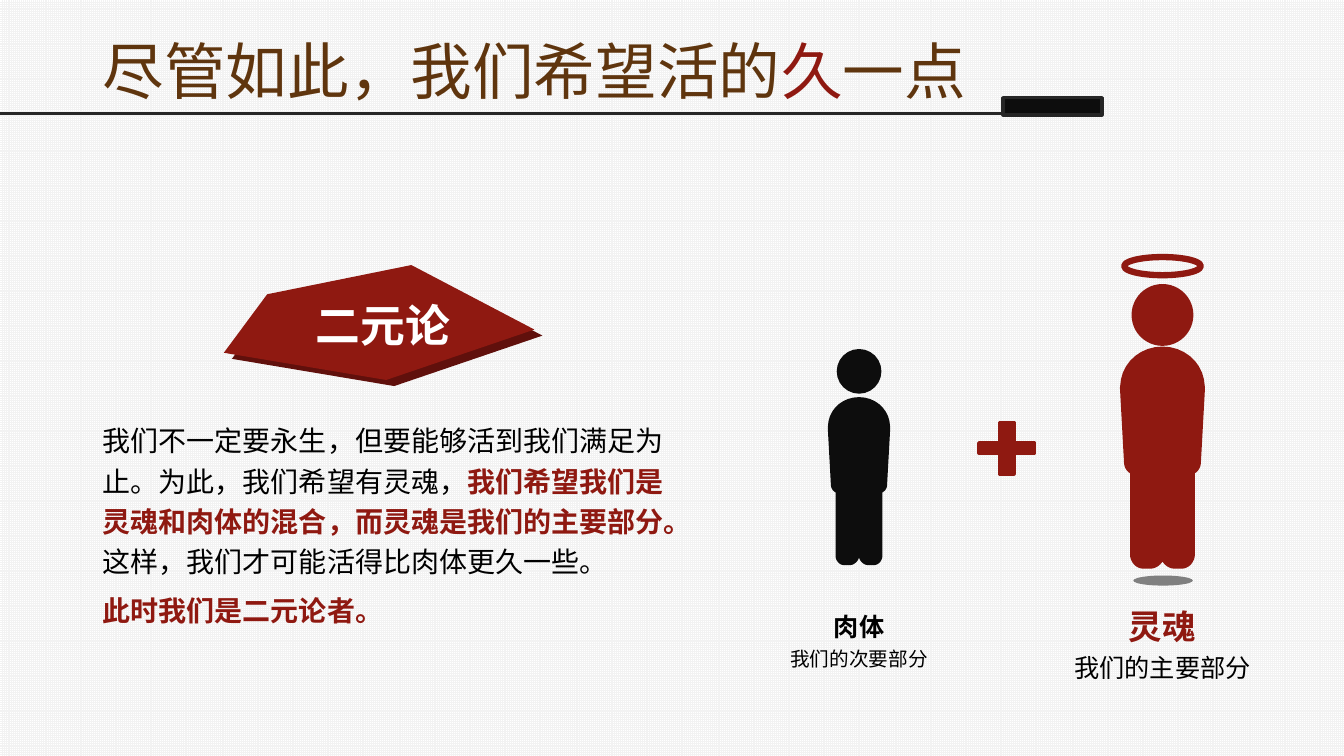
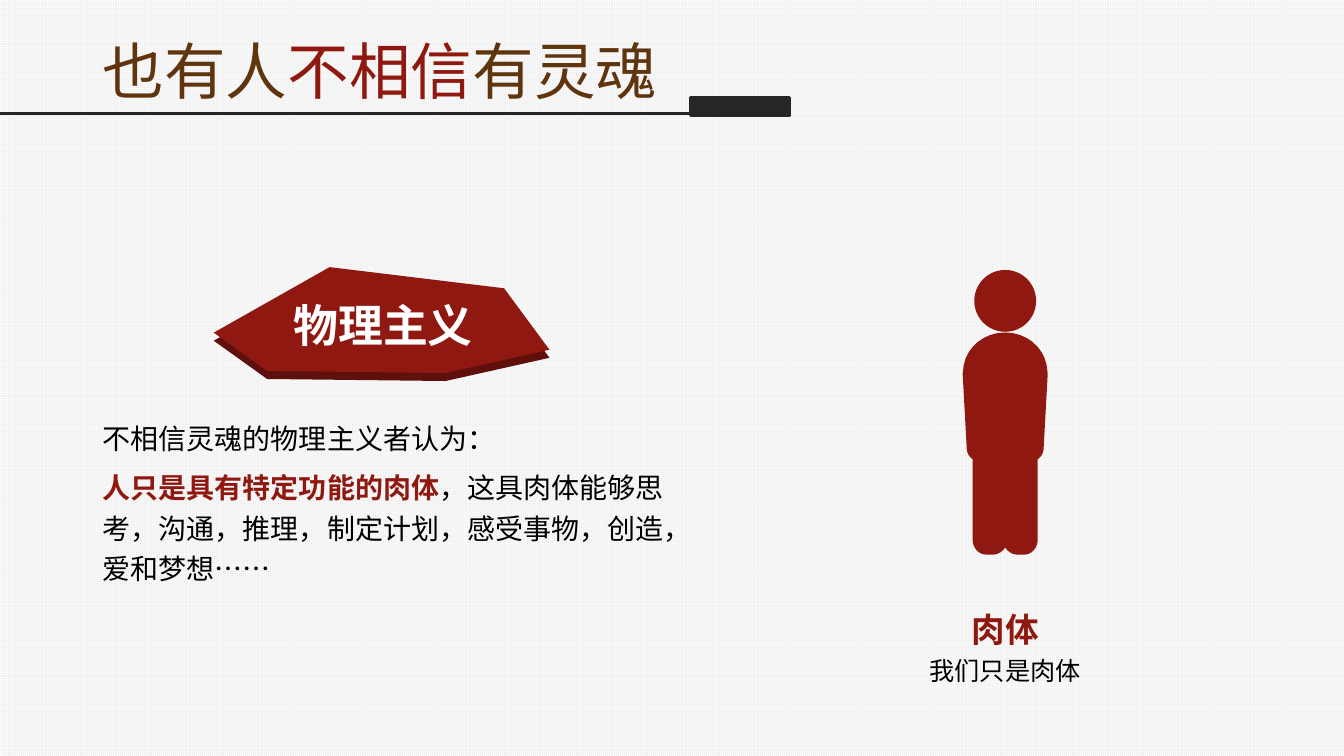
"""Build two slides on dualism and physicalism."""
from dataclasses import dataclass

from lxml import etree
from pptx import Presentation
from pptx import util as u
from pptx.dml.color import RGBColor
from pptx.enum import dml, lang, shapes, text
from pptx.oxml import ns


@dataclass(frozen=True)
class Theme:
    """Hold the colours, font and type sizes."""
    font: str = "Noto Sans CJK SC"
    red: str = "8F1911"
    dark: str = "60100C"
    brown: str = "5F350E"
    black: str = "000000"
    ink: str = "0D0D0D"
    rule: str = "262626"
    gray: str = "808080"
    white: str = "FFFFFF"
    grid: str = "F2F2F2"
    title: int = 44
    badge: int = 32
    body: int = 20
    large: int = 24
    mid: int = 18
    small: int = 14


T = Theme()
KIND = shapes.MSO_SHAPE
MID = 0.38
HEAD = 0.53
NECK = 0.62
HALF = [
    [(0, 0)],
    [(0.19, 0), (0.34, 0.13), (0.37, 0.29)],
    [(0.38, 0.37)],
    [(0.34, 1.1)],
    [(0.34, 1.13), (0.33, 1.16), (0.3, 1.18)],
    [(0.28, 1.19)],
    [(0.28, 2.02)],
    [(0.28, 2.07), (0.24, 2.12), (0.19, 2.12)],
    [(0.12, 2.12)],
    [(0.07, 2.12), (0.02, 2.07), (0.02, 2.02)],
    [(0.02, 1.2)],
]


def rgb(hue):
    """Turn a hex string into a colour."""
    return RGBColor.from_string(hue)


def paint(shape, fill=None, line=None, width=0):
    """Set fill and outline and drop the shadow."""
    shape.shadow.inherit = False
    if fill:
        shape.fill.solid()
        shape.fill.fore_color.rgb = rgb(fill)
    else:
        shape.fill.background()
    if line:
        shape.line.color.rgb = rgb(line)
        shape.line.width = u.Pt(width)
    else:
        shape.line.fill.background()
    return shape


def draw(slide, kind, box, *look):
    """Add a painted preset shape in a box given in inches."""
    shape = slide.shapes.add_shape(kind, *map(u.Inches, box))
    return paint(shape, *look)


def trace(slide, pts, *look):
    """Add a closed outline through points given in inches."""
    ends = [(u.Inches(x), u.Inches(y)) for x, y in pts]
    pen = slide.shapes.build_freeform(*ends[0])
    pen.add_line_segments(ends[1:], close=True)
    return paint(pen.convert_to_shape(), *look)


def write(para, parts, size):
    """Add runs of (text, colour, bold) to a paragraph."""
    for words, hue, bold in parts:
        run = para.add_run()
        run.text = words
        font = run.font
        font.size, font.bold, font.name = u.Pt(size), bold, T.font
        font.color.rgb = rgb(hue)
        font.language_id = lang.MSO_LANGUAGE_ID.SIMPLIFIED_CHINESE
        props = run._r.get_or_add_rPr()
        etree.SubElement(props, ns.qn("a:ea"), typeface=T.font)


def note(slide, box, rows, wrap=True, align=text.PP_ALIGN.LEFT,
         lead=None, gap=0, anchor=text.MSO_ANCHOR.TOP):
    """Add a text box whose rows are (parts, size)."""
    frame = slide.shapes.add_textbox(*map(u.Inches, box)).text_frame
    frame.word_wrap = wrap
    frame.vertical_anchor = anchor
    for k, (parts, size) in enumerate(rows):
        para = frame.add_paragraph() if k else frame.paragraphs[0]
        para.alignment = align
        if lead:
            para.line_spacing = lead
        if k and gap:
            para.space_before = u.Pt(gap)
        write(para, parts, size)


def header(slide, parts, end, fill):
    """Add the title and the rule that ends in a tab."""
    note(slide, (0.92, 0.27, 11.5, 0.84), [(parts, T.title)],
         anchor=text.MSO_ANCHOR.MIDDLE)
    line = slide.shapes.add_connector(
        shapes.MSO_CONNECTOR.STRAIGHT, 0, u.Inches(1.13),
        u.Inches(end), u.Inches(1.13))
    line.line.color.rgb = rgb(T.rule)
    line.line.width = u.Pt(2.25)
    etree.SubElement(line._element.spPr, ns.qn("a:effectLst"))
    draw(slide, KIND.RECTANGLE, (end, 0.97, 0.98, 0.17), fill, T.rule, 2.5)


def badge(slide, x, y, pts, drop, words):
    """Add a jagged badge with its under layer and label."""
    for (dx, dy), hue in ((drop, T.dark), ((0, 0), T.red)):
        trace(slide, [(x + dx + px, y + dy + py) for px, py in pts], hue)
    note(slide, (2.8, 2.9, 2, 0.64), [([(words, T.white, True)], T.badge)],
         wrap=False, align=text.PP_ALIGN.CENTER)


def bend(a, b, c, d, n=8):
    """Sample a cubic curve after its first point."""
    for k in range(1, n + 1):
        t = k / n
        s = 1 - t
        yield tuple(s**3 * p + 3 * s * s * t * q + 3 * s * t * t * r + t**3 * v
                    for p, q, r, v in zip(a, b, c, d))


def torso():
    """Give the body outline around its middle line."""
    side = []
    for step in HALF:
        side.extend(bend(side[-1], *step) if len(step) == 3 else step)
    return side + [(-x, y) for x, y in reversed(side[1:])]


def person(slide, mid, top, hue, width, scale=1):
    """Add a figure centred on mid with its head at top."""
    size = HEAD * scale
    draw(slide, KIND.OVAL, (mid - size / 2, top, size, size), hue, hue, width)
    pts = [(mid + x * scale, top + (NECK + y) * scale) for x, y in torso()]
    trace(slide, pts, hue, hue, width)


def label(slide, mid, top, name, hue, size, words, sub):
    """Add a two-line caption centred on mid."""
    rows = [([(name, hue, True)], size), ([(words, T.black, False)], sub)]
    note(slide, (mid - 1, top, 2, 0.92), rows, wrap=False,
         align=text.PP_ALIGN.CENTER, lead=1.2)


def story(slide, top, width, height, *paras):
    """Add the body paragraphs."""
    note(slide, (0.92, top, width, height), [(p, T.body) for p in paras],
         lead=1.2, gap=6)


def soul(slide, mid, top):
    """Add the floating figure with halo and ground shade."""
    person(slide, mid, top, T.red, 6)
    draw(slide, KIND.OVAL, (mid - MID, top - 0.31, 2 * MID, 0.18),
         None, T.red, 4.5)
    draw(slide, KIND.OVAL, (mid - 0.29, top + 2.85, 0.59, 0.1), T.gray)


def dual(slide):
    """Fill the slide on dualism."""
    header(slide, [("尽管如此，我们希望活的", T.brown, False),
                   ("久", T.red, False), ("一点", T.brown, False)],
           9.95, T.ink)
    badge(slide, 2.22, 2.63,
          [(0.43, 0.29), (0, 0.87), (1.61, 1.14), (3.08, 0.64), (1.86, 0)],
          (0.08, 0.06), "二元论")
    story(slide, 4.09, 5.77, 2.2,
          [("我们不一定要永生，但要能够活到我们满足为止。为此，我们希望有灵魂，",
            T.black, False),
           ("我们希望我们是灵魂和肉体的混合，而灵魂是我们的主要部分。",
            T.red, True),
           ("这样，我们才可能活得比肉体更久一些。", T.black, False)],
          [("此时我们是二元论者。", T.red, True)])
    person(slide, 8.52, 3.48, T.ink, 2.5, 0.77)
    label(slide, 8.52, 5.96, "肉体", T.black, T.mid, "我们的次要部分", T.small)
    plus = draw(slide, KIND.CROSS, (9.71, 4.19, 0.55, 0.51),
                T.red, T.red, 2.5)
    plus.adjustments[0] = 0.4
    soul(slide, 11.53, 2.86)
    label(slide, 11.53, 5.88, "灵魂", T.red, T.large, "我们的主要部分", T.mid)


def mono(slide):
    """Fill the slide on physicalism."""
    header(slide, [("也有人", T.brown, False), ("不相信", T.red, False),
                   ("有灵魂", T.brown, False)], 6.85, T.rule)
    badge(slide, 2.12, 2.65,
          [(0, 0.65), (0.53, 1.03), (2.3, 1.05), (3.33, 0.82),
           (2.88, 0.21), (1.15, 0)],
          (0, 0.08), "物理主义")
    story(slide, 4.07, 5.93, 1.92,
          [("不相信灵魂的物理主义者认为：", T.black, False)],
          [("人只是具有特定功能的肉体", T.red, True),
           ("，这具肉体能够思考，沟通，推理，制定计划，感受事物，创造，爱和梦想……",
            T.black, False)])
    person(slide, 9.97, 2.72, T.red, 6)
    label(slide, 9.97, 5.91, "肉体", T.red, T.large, "我们只是肉体", T.mid)


def main():
    """Build and save the deck."""
    deck = Presentation()
    deck.slide_width, deck.slide_height = u.Inches(13.33), u.Inches(7.5)
    for build in (dual, mono):
        slide = deck.slides.add_slide(deck.slide_layouts[6])
        fill = slide.background.fill
        fill.patterned()
        fill.pattern = dml.MSO_PATTERN.SMALL_GRID
        fill.fore_color.rgb = rgb(T.grid)
        fill.back_color.rgb = rgb(T.white)
        build(slide)
    deck.save("out.pptx")


if __name__ == "__main__":
    main()
